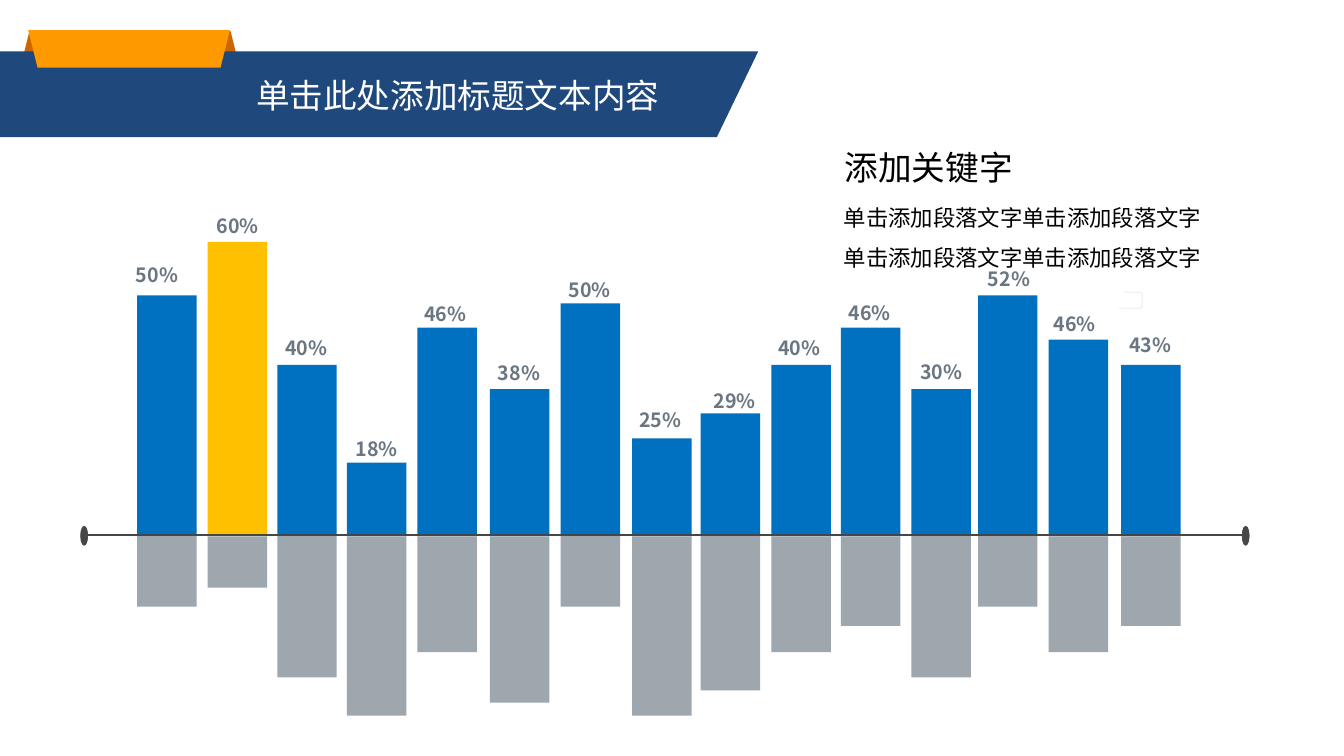
from lxml.etree import SubElement
from pptx import Presentation
from pptx.dml.color import RGBColor
from pptx.enum.shapes import MSO_CONNECTOR, MSO_SHAPE
from pptx.enum.text import MSO_ANCHOR, MSO_AUTO_SIZE, PP_ALIGN
from pptx.oxml.ns import qn
from pptx.util import Inches, Pt

BLUE, YELLOW, GRAY, DARK, WHITE = "0070C0", "FFC000", "9EA6AE", "464646", "FFFFFF"
CJK_FONT = "Noto Sans CJK SC"
BASELINE, BAR_WIDTH = 5.32, 0.59

# Bar left, height above, height below, label, label left, label top
BARS = [
    (1.36, 2.39, 0.70, "50%", 1.25, 2.56),
    (2.06, 2.92, 0.51, "60%", 2.05, 2.07),
    (2.75, 1.70, 1.40, "40%", 2.73, 3.28),
    (3.44, 0.73, 1.78, "18%", 3.43, 4.29),
    (4.14, 2.07, 1.15, "46%", 4.11, 2.95),
    (4.86, 1.46, 1.65, "38%", 4.84, 3.53),
    (5.56, 2.31, 0.70, "50%", 5.54, 2.71),
    (6.27, 0.97, 1.78, "25%", 6.24, 4.00),
    (6.95, 1.22, 1.53, "29%", 6.98, 3.81),
    (7.65, 1.70, 1.15, "40%", 7.62, 3.28),
    (8.34, 2.07, 0.89, "46%", 8.32, 2.94),
    (9.04, 1.46, 1.40, "30%", 9.03, 3.52),
    (9.70, 2.39, 0.70, "52%", 9.70, 2.60),
    (10.40, 1.95, 1.15, "46%", 10.35, 3.05),
    (11.12, 1.70, 0.89, "43%", 11.10, 3.25),
]


def color(value):
    return RGBColor.from_string(value)


class SlideBuilder:
    def __init__(self, slide):
        self.slide = slide
        self.shapes = slide.shapes

    def paint(self, shape, fill, line=None, width=1):
        shape.shadow.inherit = False
        shape.fill.solid()
        shape.fill.fore_color.rgb = color(fill)
        if line:
            shape.line.color.rgb = color(line)
            shape.line.width = Pt(width)
        else:
            shape.line.fill.background()

    def shape(self, kind, box, fill, line=None, width=1, rotation=0):
        shape = self.shapes.add_shape(kind, *map(Inches, box))
        self.paint(shape, fill, line, width)
        shape.rotation = rotation
        return shape

    def polygon(self, points, fill):
        corners = [(Inches(x), Inches(y)) for x, y in points]
        builder = self.shapes.build_freeform(*corners[0], scale=1.0)
        builder.add_line_segments(corners[1:], close=True)
        self.paint(builder.convert_to_shape(), fill)

    def line(self, start, end, stroke, width):
        connector = self.shapes.add_connector(
            MSO_CONNECTOR.STRAIGHT, *map(Inches, start + end))
        connector.line.color.rgb = color(stroke)
        connector.line.width = Pt(width)
        SubElement(connector.element.spPr, qn("a:effectLst"))

    def set_text(self, shape, box, lines, size, fill, font=CJK_FONT, bold=False,
                 wrap=True, spacing=None, margins=(0.1, 0.05)):
        shape.left, shape.top, shape.width, shape.height = map(Inches, box)
        frame = shape.text_frame
        frame_format = {
            "word_wrap": wrap, "auto_size": MSO_AUTO_SIZE.NONE,
            "vertical_anchor": MSO_ANCHOR.TOP,
            "margin_left": Inches(margins[0]), "margin_right": Inches(margins[0]),
            "margin_top": Inches(margins[1]), "margin_bottom": Inches(margins[1]),
        }
        for name, value in frame_format.items():
            setattr(frame, name, value)
        for index, line in enumerate(lines):
            paragraph = frame.add_paragraph() if index else frame.paragraphs[0]
            paragraph.alignment = PP_ALIGN.LEFT
            paragraph.line_spacing = spacing
            run = paragraph.add_run()
            run.text = line
            font_format = {"name": font, "size": Pt(size), "bold": bold}
            for name, value in font_format.items():
                setattr(run.font, name, value)
            run.font.color.rgb = color(fill)
            # East Asian typeface follows the Latin one
            SubElement(run._r.get_or_add_rPr(), qn("a:ea"), typeface=CJK_FONT)

    def text(self, box, lines, size, fill, **style):
        self.set_text(self.shapes.add_textbox(0, 0, 0, 0), box, lines, size, fill, **style)

    def title(self, box, words, size, fill, **style):
        title = self.shapes.title
        self.set_text(title, box, [words], size, fill, **style)
        # Bring the title in front of its banner
        title.element.getparent().append(title.element)


def main():
    presentation = Presentation()
    presentation.slide_width = Inches(13.33)
    presentation.slide_height = Inches(7.5)
    builder = SlideBuilder(presentation.slides.add_slide(presentation.slide_layouts[5]))

    # Bars above and below the axis
    for left, above, below, label, _, _ in BARS:
        fill = YELLOW if label == "60%" else BLUE
        builder.shape(MSO_SHAPE.RECTANGLE, (left, BASELINE - above, BAR_WIDTH, above), fill)
        builder.shape(MSO_SHAPE.RECTANGLE, (left, BASELINE, BAR_WIDTH, below), GRAY)

    # Axis with round ends
    builder.line((0.85, 5.31), (12.34, 5.31), DARK, 1.5)
    for left in (0.8, 12.32):
        builder.shape(MSO_SHAPE.OVAL, (left, 5.22, 0.07, 0.19), DARK, DARK, 0.5)

    # Small bracket, open on the left
    builder.shape(MSO_SHAPE.ROUNDED_RECTANGLE, (11.09, 2.9, 0.24, 0.16), WHITE, "F2F2F2")
    for box, rotation in (((11.07, 2.8, 0.08, 0.18), 0), ((11.04, 2.9, 0.08, 0.17), 318.6)):
        cover = builder.shape(MSO_SHAPE.ROUNDED_RECTANGLE, box, WHITE, rotation=rotation)
        cover.adjustments[0] = 0.5

    # Percent labels
    for _, _, _, label, left, top in BARS:
        builder.text((left, top, 0.97, 0.34), [label], 14, "6A7682", bold=True)

    # Keyword and description
    builder.text((8.28, 1.41, 1.88, 0.5), ["添加关键字"], 24, "000000", wrap=False)
    builder.text((8.24, 1.83, 4.48, 0.89), ["单击添加段落文字单击添加段落文字"] * 2,
                 16, "000000", spacing=1.5, margins=(0.13, 0.06))

    # Title banner with folded ribbon
    builder.shape(MSO_SHAPE.TRAPEZOID, (0.16, 0.31, 2.26, 0.53), "CC6600")
    builder.polygon([(0, 0.51), (7.52, 0.51), (7.11, 1.36), (0, 1.36)], "1F487C")
    builder.shape(MSO_SHAPE.TRAPEZOID, (0.28, 0.3, 2, 0.37), "FF9900", rotation=180)
    builder.title((2.41, 0.67, 4.31, 0.54), "单击此处添加标题文本内容", 24, WHITE,
                  font="Arial", wrap=False, margins=(0.13, 0.07))

    presentation.save("out.pptx")


if __name__ == "__main__":
    main()
